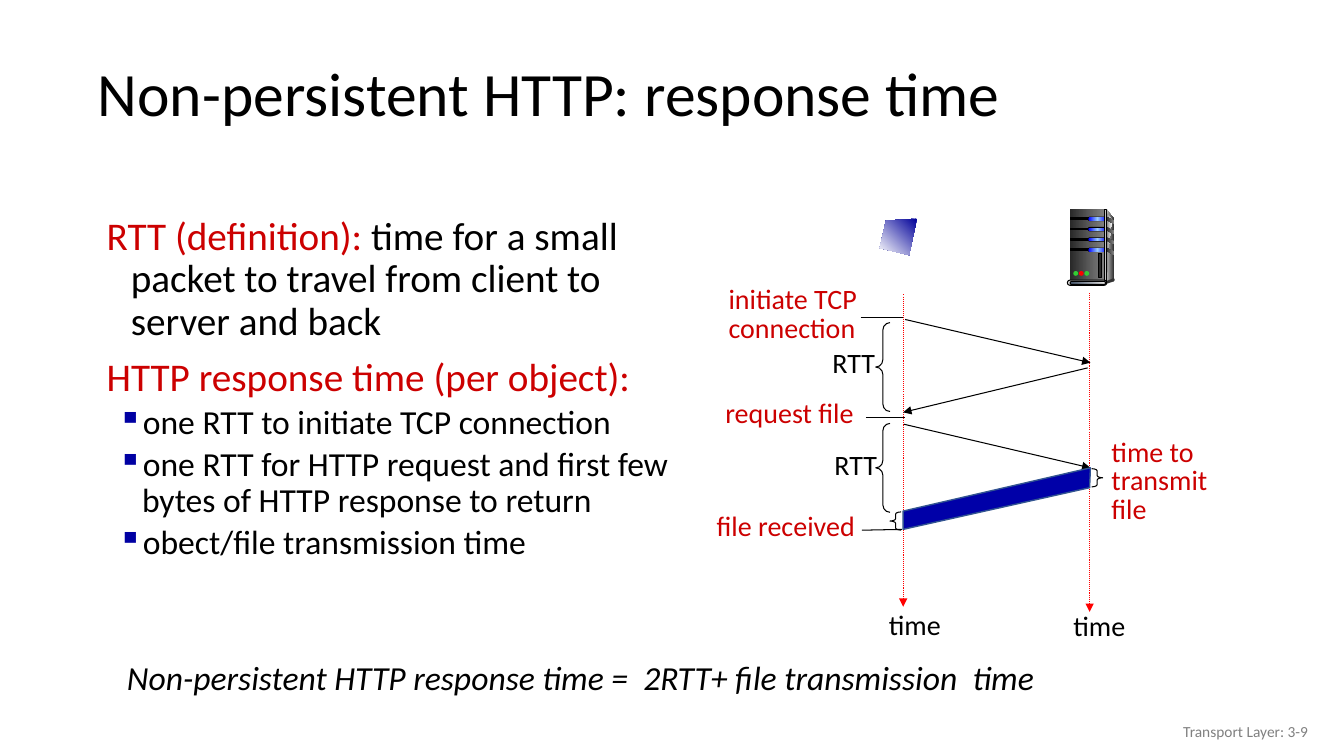
"""Build the slide on the response time of non-persistent HTTP."""
from dataclasses import dataclass

from lxml.etree import SubElement
from pptx import Presentation
from pptx.dml.color import RGBColor
from pptx.enum.dml import MSO_LINE
from pptx.enum.shapes import MSO_CONNECTOR, MSO_SHAPE as SHAPE
from pptx.enum.text import MSO_ANCHOR as ANCHOR, PP_ALIGN as ALIGN
from pptx.oxml.ns import qn
from pptx.util import Cm, Pt


@dataclass(frozen=True)
class Theme:
    font: str = "Calibri"
    black: str = "000000"
    red: str = "CC0000"
    axis: str = "FF0000"
    bullet: str = "0000A3"
    band: str = "0000A8"
    band_edge: str = "325491"
    grey: str = "808080"
    dark: str = "333333"
    pale: str = "DDDDDD"
    green: str = "33CC33"
    metal: tuple = ("292929", "808080")
    panel: tuple = ("DDDDDD", "333333")
    shine: tuple = ("808080", "F8F8F8")
    edge: tuple = ("333333", "DDDDDD", "333333")
    glow: tuple = ("0000FF", "99CCFF", "0000FF")
    base: tuple = ("44546A", "E7E6E6")
    screen: tuple = ("000099", "FFFFFF")
    title: int = 44
    lead: int = 28
    item: int = 24
    label: int = 20
    footer: int = 11
    hairline: float = 0.75


T = Theme()


def paint(sp, fill=None, line=None, width=T.hairline, angle=0):
    """Set the fill (none, plain or gradient) and outline of a shape."""
    sp.shadow.inherit = False
    if fill is None:
        sp.fill.background()
    elif isinstance(fill, str):
        sp.fill.solid()
        sp.fill.fore_color.rgb = RGBColor.from_string(fill)
    else:
        sp.fill.gradient()
        sp.fill.gradient_angle = angle
        stops = sp.element.spPr.find(".//" + qn("a:gsLst"))
        for gs in list(stops):
            stops.remove(gs)
        for i, color in enumerate(fill):
            pos = str(100000 * i // (len(fill) - 1))
            gs = SubElement(stops, qn("a:gs"), pos=pos)
            SubElement(gs, qn("a:srgbClr"), val=color)
    if line:
        sp.line.color.rgb = RGBColor.from_string(line)
        sp.line.width = Pt(width)
    else:
        sp.line.fill.background()


def write(box, lines, size, color, wrap=True, spacing=None):
    """Add a text box with one paragraph a line and return its frame."""
    tf = s.shapes.add_textbox(*map(Cm, box)).text_frame
    tf.word_wrap = wrap
    tf.text = "\n".join(lines)
    for p in tf.paragraphs:
        p.line_spacing = spacing
        p.font.name, p.font.size = T.font, Pt(size)
        p.font.color.rgb = RGBColor.from_string(color)
    return tf


prs = Presentation()
prs.slide_width, prs.slide_height = Cm(33.87), Cm(19.05)
s = prs.slides.add_slide(prs.slide_layouts[5])

title = s.shapes.title
title.left, title.top, title.width, title.height = map(Cm, (2.21, 1.19, 29.21, 2.49))
title.text_frame.text = "Non-persistent HTTP: response time"
title.text_frame.vertical_anchor = ANCHOR.MIDDLE
p = title.text_frame.paragraphs[0]
p.alignment, p.line_spacing = ALIGN.LEFT, 0.9
p.font.name, p.font.size = T.font, Pt(T.title)
p.font.color.rgb = RGBColor.from_string(T.black)

definitions = [
    ("RTT (definition):", " time for a small packet to travel from client to server and back"),
    ("HTTP response time (per object):", ""),
]
items = [
    "one RTT to initiate TCP connection",
    "one RTT for HTTP request and first few bytes of HTTP response to return",
    "obect/file transmission time",
]
tf = write((2.06, 5.33, 15.8, 9.27), [a + b for a, b in definitions] + items,
           T.item, T.black, spacing=0.9)
for i, p in enumerate(tf.paragraphs):
    is_item = i >= len(definitions)
    pPr = p._p.get_or_add_pPr()
    pPr.set("marL", str(Cm(1.27 if is_item else 0.99)))
    pPr.set("indent", str(Cm(-0.61)))
    p.space_before = Pt(4 if is_item else 10 if i else 0)
    if is_item:
        clr = pPr.makeelement(qn("a:buClr"))
        SubElement(clr, qn("a:srgbClr"), val=T.bullet)
        pPr.find(qn("a:defRPr")).addprevious(clr)
        clr.addnext(pPr.makeelement(qn("a:buChar"), char="▪"))
    else:
        p.font.size = Pt(T.lead)
        p.clear()
        for text, color in zip(definitions[i], (T.red, T.black)):
            if text:
                r = p.add_run()
                r.text = text
                r.font.color.rgb = RGBColor.from_string(color)

axes = [(22.76, 7.42, 22.76, 15.29), (27.46, 7.39, 27.46, 15.42)]
messages = [(22.81, 8.05, 27.48, 9.14), (27.41, 9.27, 22.76, 10.39), (22.78, 10.69, 27.48, 11.79)]
ticks = [(21.69, 8, 22.76, 8), (21.82, 10.52, 22.81, 10.52), (22.73, 13.34, 21.72, 13.36)]
for ends in axes + messages + ticks:
    cxn = s.shapes.add_connector(MSO_CONNECTOR.STRAIGHT, *map(Cm, ends))
    cxn.line.color.rgb = RGBColor.from_string(T.axis if ends in axes else T.black)
    cxn.line.width = Pt(T.hairline)
    if ends in axes:
        cxn.line.dash_style = MSO_LINE.ROUND_DOT
    if ends not in ticks:
        SubElement(cxn.line._get_or_add_ln(), qn("a:tailEnd"), type="triangle")
    SubElement(cxn.element.spPr, qn("a:effectLst"))

for kind, box, curve in [
    (SHAPE.LEFT_BRACE, (22.07, 8.13, 0.36, 2.24), 0.52),
    (SHAPE.LEFT_BRACE, (22.07, 10.67, 0.36, 2.24), 0.52),
    (SHAPE.LEFT_BRACE, (22.43, 12.9, 0.28, 0.46), 0.2),
    (SHAPE.RIGHT_BRACE, (27.51, 11.81, 0.28, 0.46), 0.2),
]:
    brace = s.shapes.add_shape(kind, *map(Cm, box))
    brace.adjustments[0] = curve
    paint(brace, line=T.black)

for box, lines, color, wrap in [
    ((27.76, 10.95, 3.12, 2.44), ["time to", "transmit", "file"], T.red, False),
    ((18.11, 7.11, 3.78, 1.73), ["initiate TCP", "connection"], T.red, False),
    ((20.73, 8.71, 1.6, 0.99), ["RTT"], T.black, False),
    ((20.78, 11.28, 1.6, 0.99), ["RTT"], T.black, False),
    ((18.03, 9.98, 5.46, 0.99), ["request file"], T.red, True),
    ((17.81, 12.83, 4.57, 0.99), ["file received"], T.red, True),
    ((22.15, 15.32, 1.85, 0.99), ["time"], T.black, False),
    ((26.8, 15.34, 1.85, 0.99), ["time"], T.black, False),
]:
    write(box, lines, T.label, color, wrap, spacing=0.85)

server = s.shapes.add_group_shape().shapes
slots = [5.46 + 0.26 * i for i in range(4)]
side = [
    ([(27.89, 5.28), (28.07, 5.51), (28.07, 7.01), (27.84, 7.09)], T.panel),
    ([(27.89, 5.38), (28.02, 5.54), (27.92, 6.4), (27.89, 7.04)], T.shine),
    ([(27.86, 7.09), (27.86, 7.16), (28.07, 7.09), (28.07, 7.01)], T.dark),
]
side += [([(27.88, y), (28.07, y + 0.1), (28.07, y + 0.18), (27.88, y + 0.08)], T.metal)
         for y in slots]
client = ([(23.11, 5.51), (22.33, 5.56), (22.17, 6.25), (22.91, 6.43)], T.screen)
band = ([(22.76, 12.88), (27.48, 11.79), (27.46, 12.29), (22.76, 13.34)], T.band)
for part in side + [client, band]:
    points, fill = part
    start, *rest = [(Cm(x), Cm(y)) for x, y in points]
    owner = server if part in side else s.shapes
    outline = owner.build_freeform(*start)
    outline.add_line_segments(rest)
    paint(outline.convert_to_shape(), fill, T.band_edge if part is band else None,
          width=1, angle=225 if part is client else 0)

front = [(SHAPE.RECTANGLE, (26.97, 5.28, 0.86, 1.8), T.metal, None)]
for y in slots:
    front += [
        (SHAPE.RECTANGLE, (26.97, y + 0.03, 0.48, 0.04), T.black, T.black),
        (SHAPE.ROUNDED_RECTANGLE, (27.41, y, 0.48, 0.11), T.black, None),
        (SHAPE.ROUNDED_RECTANGLE, (27.43, y + 0.02, 0.46, 0.08), T.glow, None),
    ]
front += [
    (SHAPE.RECTANGLE, (27.84, 5.28, 0.05, 1.83), T.edge, T.black),
    (SHAPE.OVAL, (28.04, 7.01, 0.05, 0.08), T.dark, None),
    (SHAPE.ROUNDED_RECTANGLE, (26.9, 7.06, 0.99, 0.13), T.pale, T.black),
    (SHAPE.ROUNDED_RECTANGLE, (26.97, 7.09, 0.89, 0.08), T.base, T.black),
    (SHAPE.RECTANGLE, (27.69, 6.38, 0.08, 0.61), T.metal[0], T.black),
]
front += [(SHAPE.OVAL, (27.05 + 0.14 * i, 6.83, 0.12, 0.12), color, None)
          for i, color in enumerate((T.green, T.axis, T.green))]
for kind, box, fill, line in front:
    sp = server.add_shape(kind, *map(Cm, box))
    if kind == SHAPE.ROUNDED_RECTANGLE:
        sp.adjustments[0] = 0.5
    paint(sp, fill, line)

formula = "Non-persistent HTTP response time =  2RTT+ file transmission  time"
tf = write((2.95, 16.43, 25.7, 2.06), [formula], T.item, T.black)
tf.paragraphs[0].font.italic = True
tf = write((25.6, 17.91, 7.62, 1.02), ["Transport Layer: 3-9"], T.footer, T.grey)
tf.vertical_anchor = ANCHOR.MIDDLE
tf.paragraphs[0].alignment = ALIGN.RIGHT

prs.save("out.pptx")
